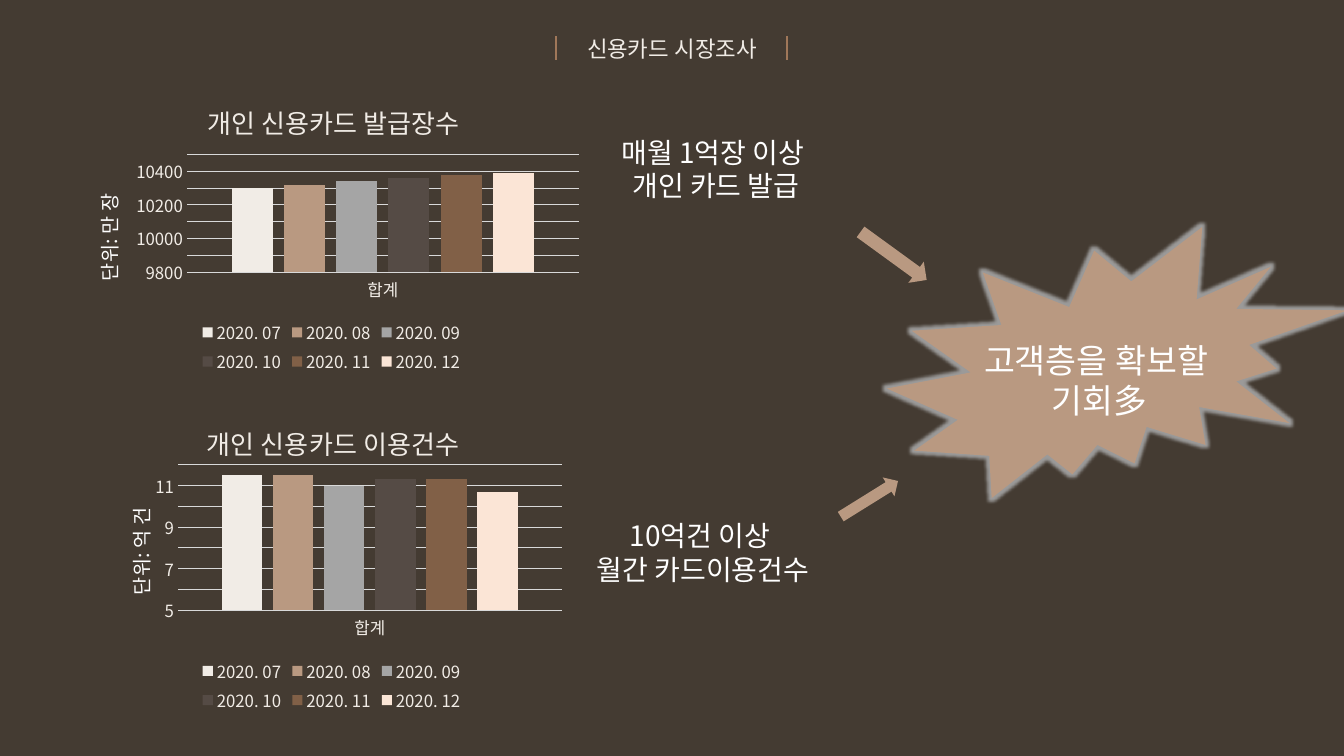
"""Build the credit card market research slide with two column charts and a conclusion burst."""
from lxml import etree
from pptx import Presentation
from pptx.chart.data import CategoryChartData
from pptx.dml.color import RGBColor
from pptx.enum.chart import XL_CHART_TYPE, XL_LEGEND_POSITION, XL_TICK_MARK
from pptx.enum.shapes import MSO_CONNECTOR, MSO_SHAPE
from pptx.enum.text import MSO_AUTO_SIZE, PP_ALIGN
from pptx.oxml import parse_xml
from pptx.oxml.ns import nsdecls, qn
from pptx.util import Cm, Pt

COLUMNS = XL_CHART_TYPE.COLUMN_CLUSTERED
BOTTOM = XL_LEGEND_POSITION.BOTTOM
NO_TICK = XL_TICK_MARK.NONE
STRAIGHT = MSO_CONNECTOR.STRAIGHT
BURST, ARROW = MSO_SHAPE.EXPLOSION2, MSO_SHAPE.RIGHT_ARROW
GROW = MSO_AUTO_SIZE.SHAPE_TO_FIT_TEXT
CENTER = PP_ALIGN.CENTER

COLORS = {"background": "443B32", "cream": "F1ECE6", "tan": "B99981", "gray": "A5A5A5",
          "dark": "554B45", "brown": "816047", "peach": "FBE5D6", "rule": "A07759",
          "grid": "D9D9D9", "white": "FFFFFF"}
SANS, KOREAN = "Noto Sans", "Noto Sans CJK KR"

MONTHS = [("2020. 07", "cream"), ("2020. 08", "tan"), ("2020. 09", "gray"),
          ("2020. 10", "dark"), ("2020. 11", "brown"), ("2020. 12", "peach")]
CHARTS = [
    {"title": "개인 신용카드 발급장수", "unit": "단위: 만 장", "format": "0",
     "values": [10300, 10320, 10340, 10360, 10380, 10390], "scale": (9800, 10500, 100),
     "box": (1.85, 2.11, 13, 7.42), "plot": (0.22, 0.24, 0.76, 0.4),
     "title_at": (0.25, 0.04), "unit_at": (0.03, 0.36)},
    {"title": "개인 신용카드 이용건수", "unit": "단위: 억 건", "format": "General",
     "values": [11.5, 11.5, 11, 11.3, 11.3, 10.7], "scale": (5, 12, 1),
     "box": (2.31, 9.93, 12.09, 8.13), "plot": (0.18, 0.22, 0.8, 0.45),
     "title_at": (0.23, 0.07), "unit_at": (0.06, 0.34)},
]
HEADING = ("신용카드 시장조사", (14.27, 0.76, 5.33, 0.94), 16, SANS, "cream", False)
NOTES = [
    ("매월 1억장 이상 \n개인 카드 발급", (11.3, 3.28, 13.49, 1.96), 20, KOREAN, "white", True),
    ("10억건 이상 \n월간 카드이용건수", (9.25, 12.95, 16.94, 1.96), 20, KOREAN, "white", True),
    ("고객층을 확보할\n 기회多", (19.15, 8.43, 16.94, 2.31), 24, KOREAN, "white", True),
]
RULES_X, RULE_TOP, RULE_BOTTOM = (14.02, 19.84), 0.91, 1.52
BURST_BOX = (22.35, 5.72, 11.61, 6.83)
ARROWS = [((21.06, 12.29, 1.7, 0.56), 328.1), ((21.49, 6.12, 2.06, 0.66), 36)]


def color(name):
    return RGBColor.from_string(COLORS[name])


def lengths(values):
    return [Cm(value) for value in values]


def style(font, size, tone, face=KOREAN):
    font.size, font.name, font.bold = Pt(size), face, False
    font.color.rgb = color(tone)


def stroke(line, tone, width):
    line.color.rgb = color(tone)
    line.width = Pt(width)


def add_text(page, text, box, size, face, tone, wrap):
    frame = page.shapes.add_textbox(*lengths(box)).text_frame
    frame.word_wrap, frame.auto_size = wrap, GROW
    frame.text = text
    for para in frame.paragraphs:
        para.alignment = CENTER
        for span in para.runs:
            style(span.font, size, tone, face)


def add_solid(page, kind, box, rotation=0):
    shape = page.shapes.add_shape(kind, *lengths(box))
    shape.rotation = rotation
    shape.shadow.inherit = False
    shape.fill.solid()
    shape.fill.fore_color.rgb = color("tan")
    shape.line.fill.background()
    return shape


def add_rule(page, x):
    rule = page.shapes.add_connector(STRAIGHT, *lengths((x, RULE_TOP, x, RULE_BOTTOM)))
    stroke(rule.line, "rule", 1.25)
    etree.SubElement(rule._element.spPr, qn("a:effectLst"))


def set_layout(parent, index, fractions, inner=False):
    for old in parent.findall(qn("c:layout")):
        parent.remove(old)
    layout = etree.Element(qn("c:layout"))
    manual = etree.SubElement(layout, qn("c:manualLayout"))
    entries = [("layoutTarget", "inner")] if inner else []
    entries += [("xMode", "edge"), ("yMode", "edge"), *zip("xywh", fractions)]
    for tag, value in entries:
        etree.SubElement(manual, qn("c:" + tag)).set("val", str(value))
    parent.insert(index, layout)


def set_title(title, text, size, tone, place):
    title.text_frame.text = text
    style(title.text_frame.paragraphs[0].runs[0].font, size, tone)
    set_layout(title._element, 1, place)


def add_columns(page, item):
    data = CategoryChartData(number_format=item["format"])
    data.categories = ["합계"]
    for (month, tone), value in zip(MONTHS, item["values"]):
        data.add_series(month, [value])
    chart = page.shapes.add_chart(COLUMNS, *lengths(item["box"]), data).chart
    style(chart.font, 12, "cream")
    set_title(chart.chart_title, item["title"], 18.6, "cream", item["title_at"])
    chart.has_legend = True
    chart.legend.position, chart.legend.include_in_layout = BOTTOM, False
    style(chart.legend.font, 12, "cream")

    bars = chart.plots[0]
    bars.gap_width, bars.overlap, bars.vary_by_categories = 219, -27, False
    for series, (month, tone) in zip(bars.series, MONTHS):
        series.format.fill.solid()
        series.format.fill.fore_color.rgb = color(tone)

    across, upward = chart.category_axis, chart.value_axis
    for axis in (across, upward):
        axis.major_tick_mark = axis.minor_tick_mark = NO_TICK
        style(axis.tick_labels.font, 12, "cream")
    stroke(across.format.line, "grid", 0.75)
    upward.format.line.fill.background()
    stroke(upward.major_gridlines.format.line, "grid", 0.75)
    upward.minimum_scale, upward.maximum_scale, upward.major_unit = item["scale"]
    upward.tick_labels.number_format = item["format"]
    upward.tick_labels.number_format_is_linked = False
    set_title(upward.axis_title, item["unit"], 14, "white", item["unit_at"])
    turn = upward.axis_title._element.find(".//" + qn("a:bodyPr"))
    turn.set("rot", "-5400000")
    turn.set("vert", "horz")
    set_layout(chart._chartSpace.find(".//" + qn("c:plotArea")), 0, item["plot"], True)
    return chart


def set_east_asian_font(root):
    for latin in list(root.iter(qn("a:latin"))):
        east = etree.Element(qn("a:ea"))
        east.set("typeface", latin.get("typeface"))
        latin.addnext(east)


deck = Presentation()
deck.slide_width, deck.slide_height = Cm(33.87), Cm(19.05)
page = deck.slides.add_slide(deck.slide_layouts[6])
page.background.fill.solid()
page.background.fill.fore_color.rgb = color("background")

burst = add_solid(page, BURST, BURST_BOX)
burst._element.spPr.find(qn("a:effectLst")).append(parse_xml(
    f'<a:glow {nsdecls("a")} rad="63500"><a:srgbClr val="{COLORS["gray"]}">'
    '<a:alpha val="90000"/></a:srgbClr></a:glow>'))
for x in RULES_X:
    add_rule(page, x)
add_text(page, *HEADING)
for item in CHARTS:
    set_east_asian_font(add_columns(page, item)._chartSpace)
for note in NOTES:
    add_text(page, *note)
for box, rotation in ARROWS:
    add_solid(page, ARROW, box, rotation)
set_east_asian_font(page._element)
deck.save("out.pptx")
